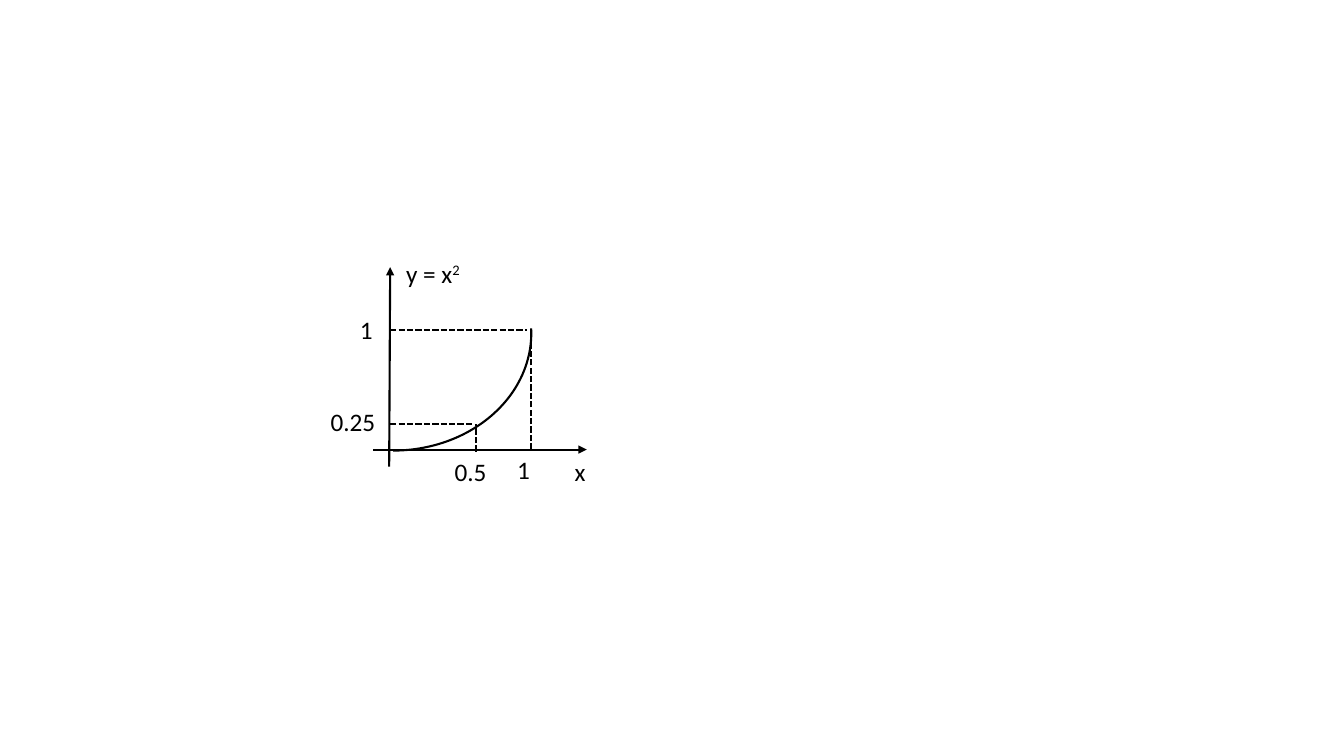
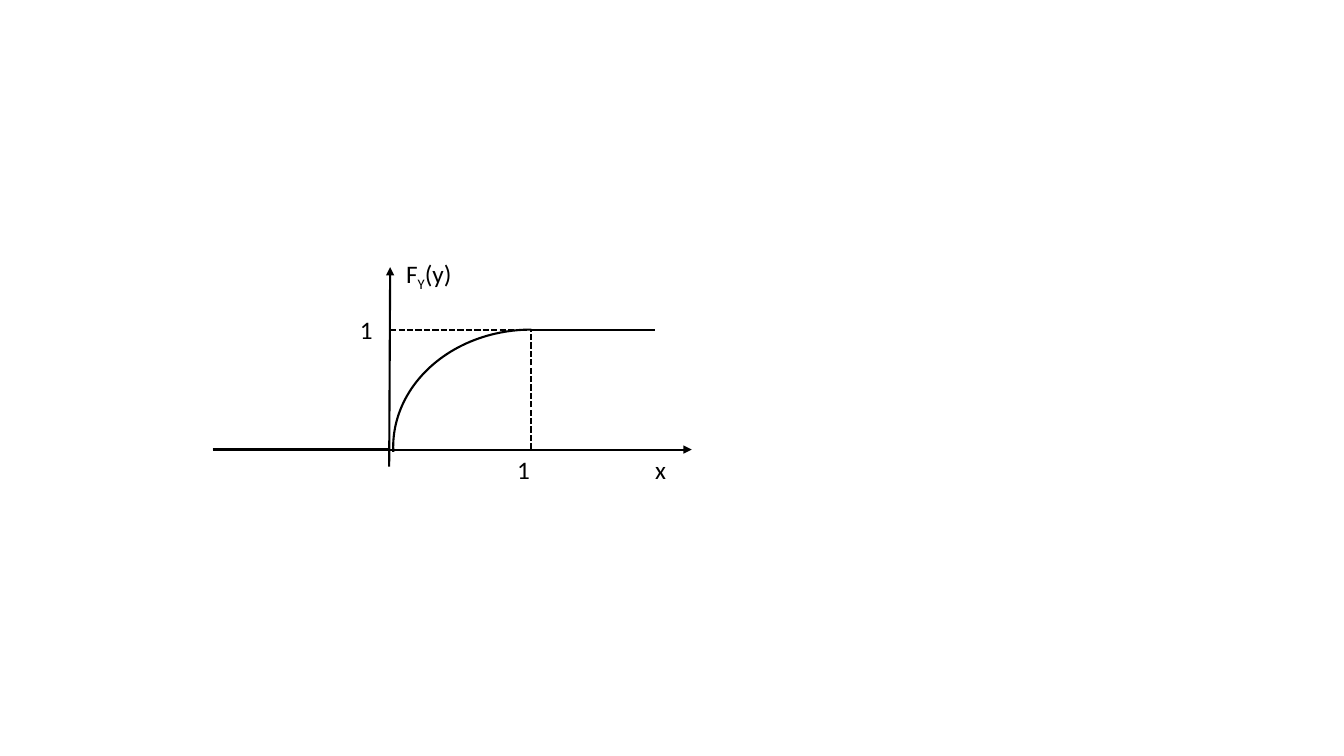
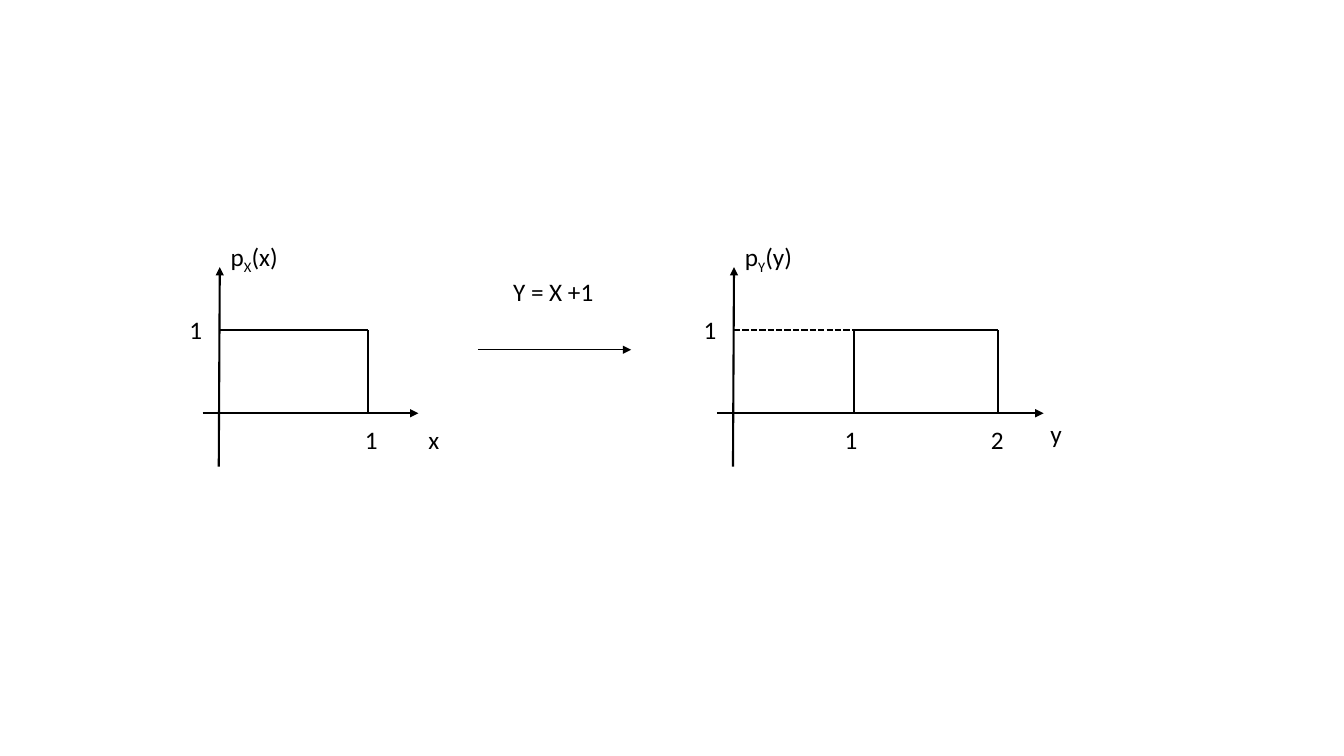
from pptx import Presentation
from pptx.dml.color import RGBColor
from pptx.enum import dml, shapes, text
from pptx.oxml.ns import qn
from pptx.util import Inches, Pt
from lxml import etree

BLACK = RGBColor(0, 0, 0)
FONT = {"name": "Calibri", "size": Pt(18)}
FRAME = {"word_wrap": True, "auto_size": text.MSO_AUTO_SIZE.SHAPE_TO_FIT_TEXT}
DASH = dml.MSO_LINE.SQUARE_DOT
LEVEL = 0.62
UNIT = 1.4


def style(obj, form):
    """Set each attribute named in a dict of format values."""
    for name, value in form.items():
        setattr(obj, name, value)


def line(slide, start, end, dash=None, arrow=False, width=1.5):
    """Draw a straight black line, dashed or with an arrowhead on request."""
    ends = [Inches(n) for n in (*start, *end)]
    rule = slide.shapes.add_connector(shapes.MSO_CONNECTOR.STRAIGHT, *ends)
    rule.line.color.rgb = BLACK
    rule.line.width = Pt(width)
    if dash:
        rule.line.dash_style = dash
    if arrow:
        tip = etree.SubElement(rule.line._get_or_add_ln(), qn("a:tailEnd"))
        tip.set("type", "triangle")
    etree.SubElement(rule._element.spPr, qn("a:effectLst"))


def label(slide, left, top, parts, width=0.63):
    """Write a label from a string or from (string, baseline) runs."""
    box = slide.shapes.add_textbox(*map(Inches, (left, top, width, 0.4)))
    style(box.text_frame, FRAME)
    para = box.text_frame.paragraphs[0]
    for words, base in [(parts, 0)] if isinstance(parts, str) else parts:
        run = para.add_run()
        run.text = words
        style(run.font, FONT)
        run.font.color.rgb = BLACK
        if base:
            run.font._element.set("baseline", str(base * 1000))


def curve(slide, left, top, turn=0):
    """Draw a mirrored quarter arc in its full ellipse box."""
    size = map(Inches, (left, top, 2.74, 2.33))
    arc = slide.shapes.add_shape(shapes.MSO_SHAPE.ARC, *size)
    arc.adjustments[0], arc.adjustments[1] = 162, 1.191
    arc.rotation = turn
    arc._element.spPr.xfrm.set("flipH", "1")
    arc.shadow.inherit = False
    arc.fill.background()
    arc.line.color.rgb = BLACK
    arc.line.width = Pt(1.5)


def axes(slide, box, title, name, shift, rise=(0.06, -0.14), back=0.17):
    """Draw both axes, their names and the level mark 1 of a plot box."""
    left, top, width, height = box
    base = top + height
    line(slide, (left - back, base), (left + width, base), arrow=True)
    line(slide, (left - 0.01, top + 1.98), (left, top), arrow=True)
    label(slide, left + rise[0], top + rise[1], title, 0.8)
    label(slide, left + width + shift[0], base + shift[1], name, 0.8)
    label(slide, left - 0.4, top + LEVEL - 0.2, "1")


def guides(slide, box):
    """Draw the dashed guides and the mark at x = 1 in a plot box."""
    left, top, _, height = box
    unit, high, base = left + UNIT, top + LEVEL, top + height
    line(slide, (left, high), (unit - 0.04, high), DASH)
    line(slide, (unit, base), (unit, high), DASH)
    label(slide, unit - 0.24, base, "1", 0.49)


def square(slide, box):
    """Plot the square function with its midpoint."""
    left, top, _, height = box
    base = top + height
    mid, low = left + 0.85, base - 0.25
    axes(slide, box, [("y = x", 0), ("2", 30)], "x", (-0.22, 0.02))
    guides(slide, box)
    line(slide, (left, low), (mid - 0.02, low), DASH)
    line(slide, (mid, base + 0.02), (mid, low), DASH)
    label(slide, mid - 0.31, base + 0.02, "0.5", 0.62)
    label(slide, left - 0.69, low - 0.23, "0.25", 0.69)
    curve(slide, left - 1.34, top - 0.51, 180)


def spread(slide, box):
    """Plot the cumulative distribution function."""
    left, top, _, height = box
    high, base = top + LEVEL, top + height - 0.01
    title = [("F", 0), ("Y", -25), ("(y)", 0)]
    axes(slide, box, title, "x", (-0.46, 0), back=1.76)
    guides(slide, box)
    curve(slide, left + 0.03, high)
    line(slide, (left - 1.76, base), (left, base))
    line(slide, (left + UNIT, high), (left + 2.63, high))


def density(slide, box, big, name, shift, start, end, marks):
    """Plot a uniform density from start to end along the axis."""
    left, top, _, height = box
    high, base = top + LEVEL, top + height
    title = [("p", 0), (big, -25), (f"({name})", 0)]
    axes(slide, box, title, name, shift, (0.01, -0.31))
    line(slide, (left + start, high), (left + end, high))
    if start:
        line(slide, (left, high), (left + start, high), DASH)
    for edge in filter(None, (start, end)):
        line(slide, (left + edge, base), (left + edge, high))
    for place, mark in marks:
        label(slide, left + place, base + 0.06, mark)


def change(slide, left, top, width):
    """Draw the arrow between two plots with its equation above."""
    label(slide, left + 0.25, top - 0.78, "Y = X +1", 1.05)
    line(slide, (left, top), (left + width, top), arrow=True, width=0.5)


deck = Presentation()
style(deck, {"slide_width": Inches(13.33), "slide_height": Inches(7.5)})
first, second, third = (deck.slides.add_slide(deck.slide_layouts[6]) for _ in range(3))
square(first, (3.87, 2.65, 1.95, 1.81))
spread(second, (3.87, 2.65, 2.99, 1.81))
density(third, (2.18, 2.65, 1.97, 1.45), "X", "x", (0, 0.06), 0, 1.47, [(1.34, "1")])
density(third, (7.28, 2.65, 3.07, 1.45), "Y", "y", (-0.03, 0), 1.19, 2.62,
        [(1, "1"), (2.45, "2")])
change(third, 4.74, 3.47, 1.52)
deck.save("out.pptx")
